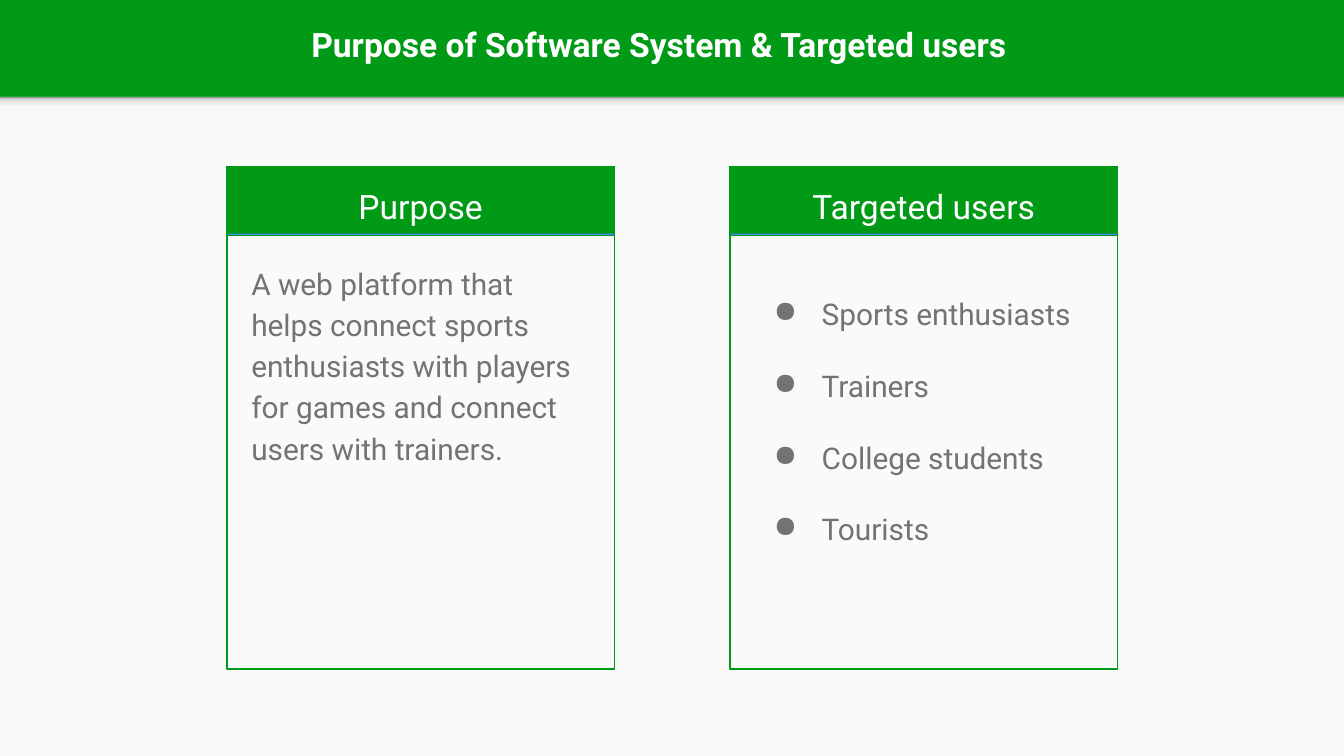
"""Build the slide on the purpose and targeted users of a software system."""
import copy

import pptx
import pptx.dml.color
import pptx.enum.shapes
import pptx.enum.text
import pptx.oxml
import pptx.oxml.ns
import pptx.util

Cm = pptx.util.Cm
Pt = pptx.util.Pt
RGBColor = pptx.dml.color.RGBColor
ALIGN = pptx.enum.text.PP_ALIGN
ANCHOR = pptx.enum.text.MSO_ANCHOR

GREEN = RGBColor(0x00, 0x9A, 0x17)
BLUE = RGBColor(0x42, 0x85, 0xF4)
PAPER = RGBColor(0xFA, 0xFA, 0xFA)
WHITE = RGBColor(0xFF, 0xFF, 0xFF)
GREY = RGBColor(0x73, 0x73, 0x73)
SHADE_LIGHT = RGBColor(0xF9, 0xF9, 0xF9)
SHADE_MID = RGBColor(0xDE, 0xDE, 0xDE)
SHADE_DARK = RGBColor(0x99, 0x99, 0x99)

presentation = pptx.Presentation()
presentation.slide_width = Cm(25.4)
presentation.slide_height = Cm(14.29)
slide = presentation.slides.add_slide(presentation.slide_layouts[6])
slide.background.fill.solid()
slide.background.fill.fore_color.rgb = GREEN


def add_box(left, top, width, height, fill=None, line=None):
    box = slide.shapes.add_shape(
        pptx.enum.shapes.MSO_SHAPE.RECTANGLE, Cm(left), Cm(top), Cm(width), Cm(height))
    box.shadow.inherit = False
    if fill is None:
        box.fill.background()
    else:
        box.fill.solid()
        box.fill.fore_color.rgb = fill
    if line is None:
        box.line.fill.background()
    else:
        box.line.color.rgb = line
        box.line.width = Pt(0.75)
    return box


def write(box, text, size, color, align=ALIGN.LEFT, anchor=ANCHOR.TOP, spacing=1.15, bold=False):
    frame = box.text_frame
    frame.word_wrap = True
    frame.vertical_anchor = anchor
    frame.margin_left = frame.margin_right = Cm(0.25)
    frame.margin_top = frame.margin_bottom = Cm(0.25)
    frame.text = text
    for paragraph in frame.paragraphs:
        paragraph.alignment = align
        paragraph.line_spacing = spacing
        font = paragraph.runs[0].font
        font.name = "Roboto"
        font.size = Pt(size)
        font.bold = bold
        font.color.rgb = color
    return frame.paragraphs


add_box(0, 1.83, 25.4, 12.46, PAPER)

header_shade = add_box(0, 1.83, 25.4, 0.3)
header_shade.fill.gradient()
header_shade.fill.gradient_angle = 90
stop_list = header_shade.element.spPr.find(".//" + pptx.oxml.ns.qn("a:gsLst"))
for first_stop in list(stop_list)[:2]:
    stop_list.append(copy.deepcopy(first_stop))
shades = [(0, SHADE_LIGHT), (0.36, SHADE_LIGHT), (0.8, SHADE_MID), (1, SHADE_DARK)]
for stop, (position, shade) in zip(header_shade.fill.gradient_stops, shades):
    stop.position = position
    stop.color.rgb = shade

title = slide.shapes.add_textbox(Cm(0.2), Cm(0), Cm(24.51), Cm(1.68))
write(title, "Purpose of Software System & Targeted users", 18, WHITE,
      ALIGN.CENTER, ANCHOR.MIDDLE, 1, True)

purpose = ("A web platform that helps connect sports enthusiasts with players "
           "for games and connect users with trainers.")
users = ["Sports enthusiasts", "Trainers", "College students", "Tourists"]
cards = [(4.29, "Purpose", purpose, 1.15), (13.8, "Targeted users", "\n".join(users), 2)]

for left, heading, content, spacing in cards:
    add_box(left, 3.15, 7.32, 1.3, BLUE, GREEN)
    add_box(left, 3.15, 7.32, 9.5, line=GREEN)
    write(add_box(left, 3.15, 7.32, 1.27, GREEN), heading, 18, WHITE, ALIGN.CENTER)
    body = slide.shapes.add_textbox(Cm(left + 0.21), Cm(4.67), Cm(6.88), Cm(7.77))
    body_paragraphs = write(body, content, 16, GREY, spacing=spacing)

for user in body_paragraphs:
    properties = user._p.get_or_add_pPr()
    properties.set("marL", str(Cm(1.27)))
    properties.set("indent", str(Cm(-0.91)))
    bullet_color = pptx.oxml.parse_xml(
        f'<a:buClr {pptx.oxml.ns.nsdecls("a")}><a:srgbClr val="{GREY}"/></a:buClr>')
    bullet = pptx.oxml.parse_xml(f'<a:buChar {pptx.oxml.ns.nsdecls("a")} char="●"/>')
    properties.extend([bullet_color, bullet])

presentation.save("out.pptx")
